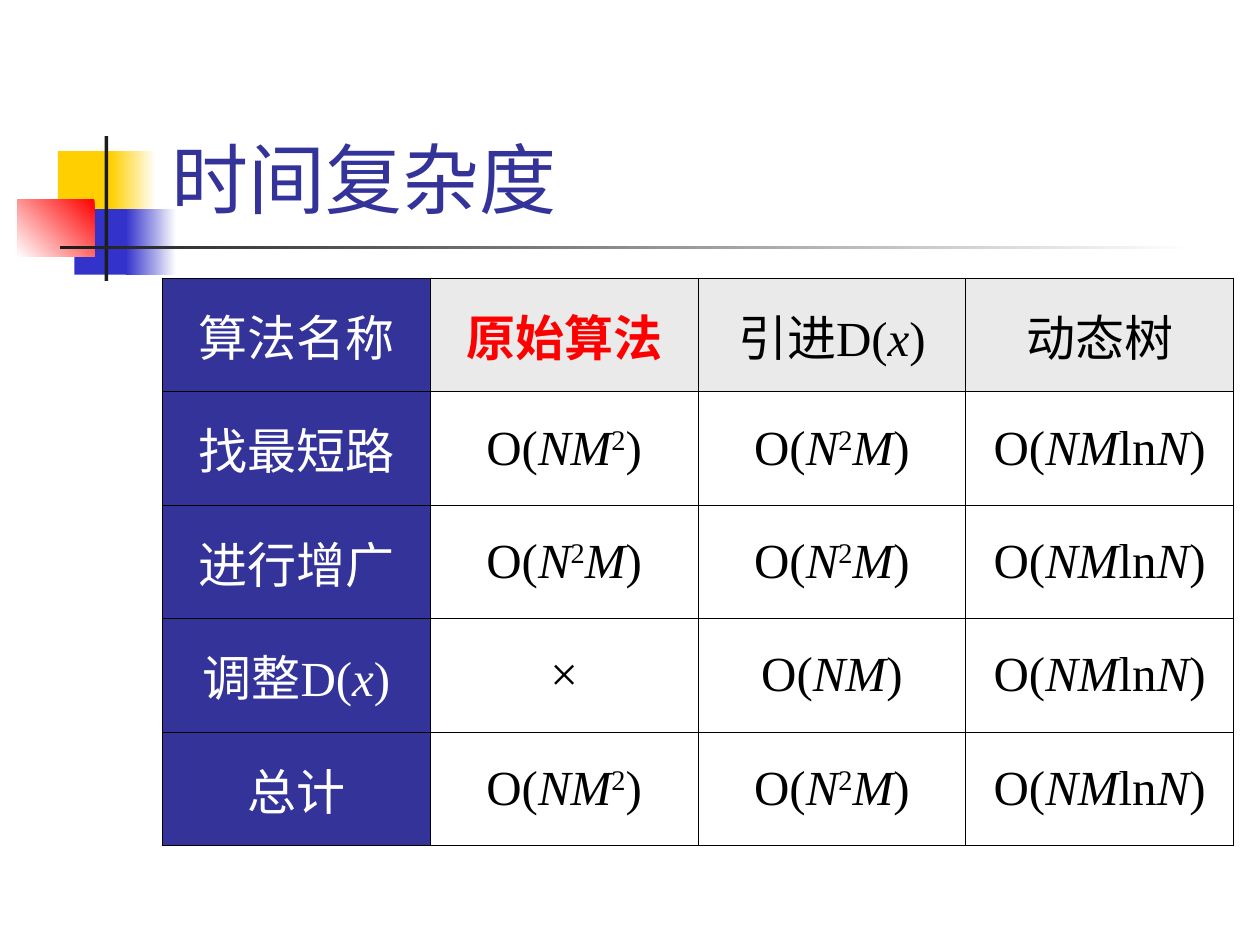
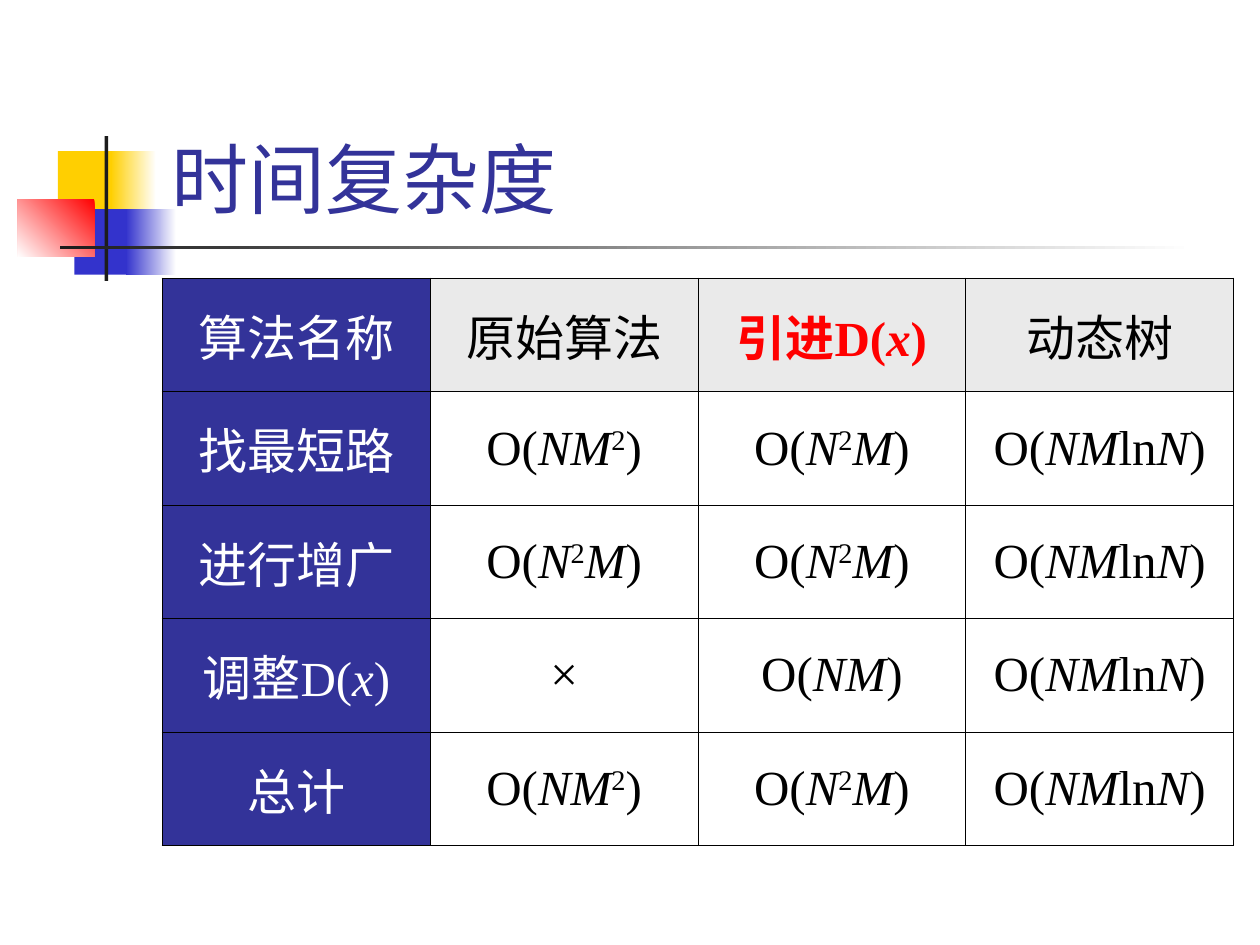
from itertools import groupby

from lxml.etree import SubElement
from pptx import Presentation
from pptx.dml.color import RGBColor
from pptx.enum.lang import MSO_LANGUAGE_ID as Lang
from pptx.enum.shapes import MSO_SHAPE as Shape
from pptx.enum.text import MSO_ANCHOR as Anchor, MSO_AUTO_SIZE as AutoSize, PP_ALIGN as Align
from pptx.oxml.ns import qn
from pptx.util import Inches, Pt

BLACK = RGBColor(0x00, 0x00, 0x00)
WHITE = RGBColor(0xFF, 0xFF, 0xFF)
NAVY = RGBColor(0x33, 0x33, 0x99)
BLUE = RGBColor(0x33, 0x33, 0xCC)
YELLOW = RGBColor(0xFF, 0xCF, 0x01)
RED = RGBColor(0xFF, 0x00, 0x00)
CHARCOAL = RGBColor(0x1C, 0x1C, 0x1C)
LIGHT_GREY = RGBColor(0xEA, 0xEA, 0xEA)

TITLE = "时间复杂度"
COMPLEXITY = [
    ["算法名称", "原始算法", "引进D(x)", "动态树"],
    ["找最短路", "O(NM2)", "O(N2M)", "O(NMlnN)"],
    ["进行增广", "O(N2M)", "O(N2M)", "O(NMlnN)"],
    ["调整D(x)", "×", "O(NM)", "O(NMlnN)"],
    ["总计", "O(NM2)", "O(N2M)", "O(NMlnN)"],
]
HIGHLIGHTED_ALGORITHMS = [1, 2]


def math_style(char):
    """Variables are italic, powers are raised, the rest is upright."""
    if char in "NMx":
        return "variable"
    return "power" if char == "2" else "upright"


class Deck:
    font_name = "Times New Roman"
    outer_line = Pt(1.08)
    inner_line = Pt(0.45)

    def __init__(self):
        self.prs = Presentation()
        self.prs.slide_width = Inches(10)
        self.prs.slide_height = Inches(7.5)
        self.slide = None

    def new_slide(self, title):
        self.slide = self.prs.slides.add_slide(self.prs.slide_layouts[5])
        self.add_ornament()
        self.set_title(title)

    def add_block(self, left, top, width, height, *colours, angle=180):
        """Draw a rectangle with one colour, or a gradient between two."""
        block = self.slide.shapes.add_shape(
            Shape.RECTANGLE, Inches(left), Inches(top), Inches(width), Inches(height))
        block.shadow.inherit = False
        block.line.fill.background()
        if len(colours) == 1:
            block.fill.solid()
            block.fill.fore_color.rgb = colours[0]
            return
        block.fill.gradient()
        block.fill.gradient_angle = angle
        for stop, colour in zip(block.fill.gradient_stops, colours):
            stop.color.rgb = colour

    def add_ornament(self):
        self.add_block(0.46, 1.2, 0.48, 0.52, YELLOW)
        self.add_block(0.88, 1.2, 0.36, 0.52, WHITE, YELLOW)
        self.add_block(0.59, 1.66, 0.46, 0.52, BLUE)
        self.add_block(1, 1.66, 0.4, 0.52, WHITE, BLUE)
        self.add_block(0.14, 1.58, 0.61, 0.46, RED, WHITE, angle=225)
        self.add_block(0.83, 1.08, 0.03, 1.15, CHARCOAL)
        self.add_block(0.48, 1.95, 9, 0.03, WHITE, CHARCOAL)

    def set_font(self, paragraph, size, colour, bold=False):
        font = paragraph.font
        font.name = self.font_name
        font.size = Pt(size)
        font.bold = bold
        font.color.rgb = colour
        font.language_id = Lang.SIMPLIFIED_CHINESE

    def set_title(self, text):
        title = self.slide.shapes.title
        title.left, title.top = Inches(1.26), Inches(0.23)
        title.width, title.height = Inches(8.52), Inches(1.6)
        frame = title.text_frame
        frame.text = text
        frame.auto_size = AutoSize.NONE
        frame.vertical_anchor = Anchor.BOTTOM
        frame.paragraphs[0].alignment = Align.LEFT
        self.set_font(frame.paragraphs[0], 44, NAVY)
        # The title lies in front of the ornament.
        self.slide.shapes._spTree.append(title._element)

    def add_table(self, rows, highlighted):
        row_count, column_count = len(rows), len(rows[0])
        table = self.slide.shapes.add_table(
            row_count, column_count,
            Inches(1.29), Inches(2.21), Inches(8.5), Inches(4.5)).table
        table.first_row = table.horz_banding = False
        for r, row in enumerate(rows):
            for c, text in enumerate(row):
                cell = table.cell(r, c)
                self.set_borders(cell, {
                    "a:lnL": c == 0, "a:lnR": c == column_count - 1,
                    "a:lnT": r == 0, "a:lnB": r == row_count - 1})
                self.fill_cell(cell, is_label=c == 0, is_header=r == 0)
                is_highlight = r == 0 and c == highlighted
                colour = WHITE if c == 0 else RED if is_highlight else BLACK
                self.write_cell(cell, text, colour, is_highlight)

    def set_borders(self, cell, is_outer):
        properties = cell._tc.get_or_add_tcPr()
        for side, outer in is_outer.items():
            width = self.outer_line if outer else self.inner_line
            line = SubElement(properties, qn(side), w=str(int(width)))
            fill = SubElement(line, qn("a:solidFill"))
            SubElement(fill, qn("a:srgbClr"), val=str(BLACK))

    def fill_cell(self, cell, is_label, is_header):
        if is_label or is_header:
            cell.fill.solid()
            cell.fill.fore_color.rgb = NAVY if is_label else LIGHT_GREY
        else:
            cell.fill.background()

    def write_cell(self, cell, text, colour, bold):
        cell.vertical_anchor = Anchor.MIDDLE
        paragraph = cell.text_frame.paragraphs[0]
        paragraph.alignment = Align.CENTER
        self.set_font(paragraph, 28, colour, bold)
        for style, chars in groupby(text, math_style):
            run = paragraph.add_run()
            run.text = "".join(chars)
            if style == "variable":
                run.font.italic = True
            elif style == "power":
                run._r.get_or_add_rPr().set("baseline", "30000")


def main():
    deck = Deck()
    for algorithm in HIGHLIGHTED_ALGORITHMS:
        deck.new_slide(TITLE)
        deck.add_table(COMPLEXITY, algorithm)
    deck.prs.save("out.pptx")


if __name__ == "__main__":
    main()
